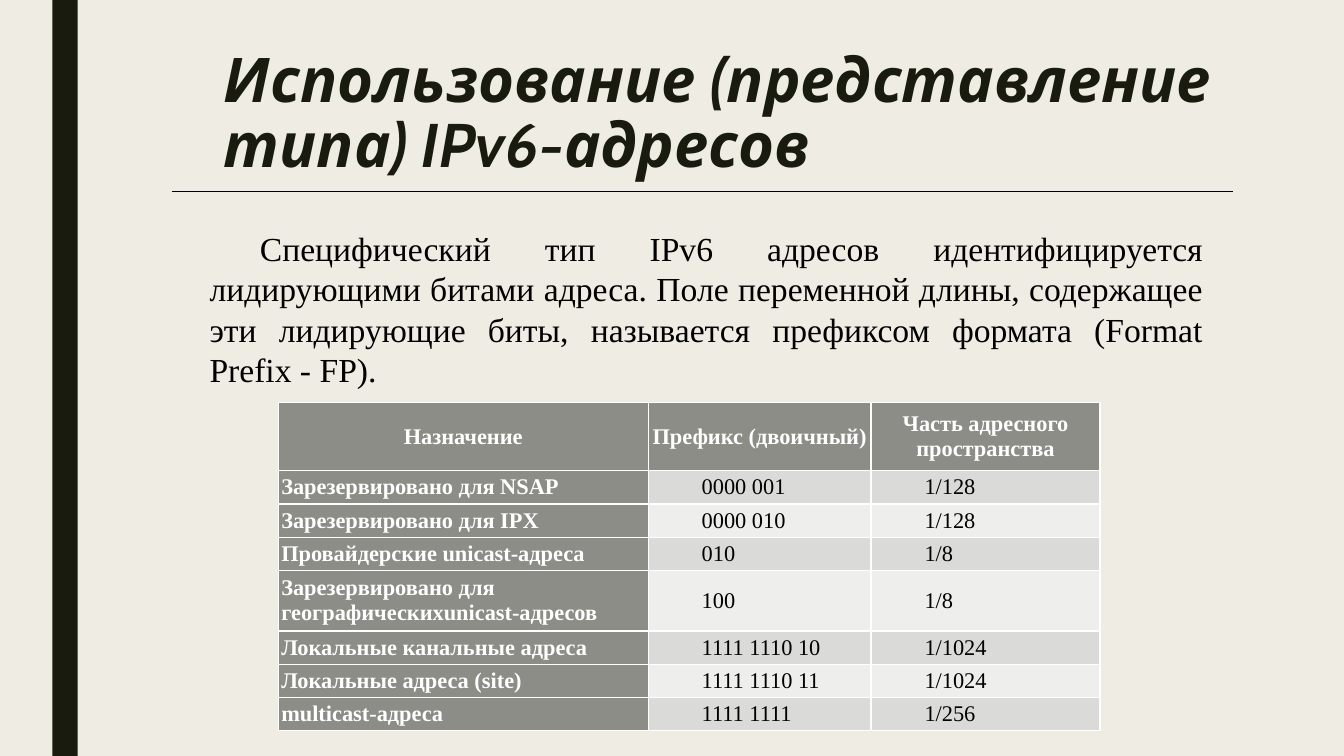
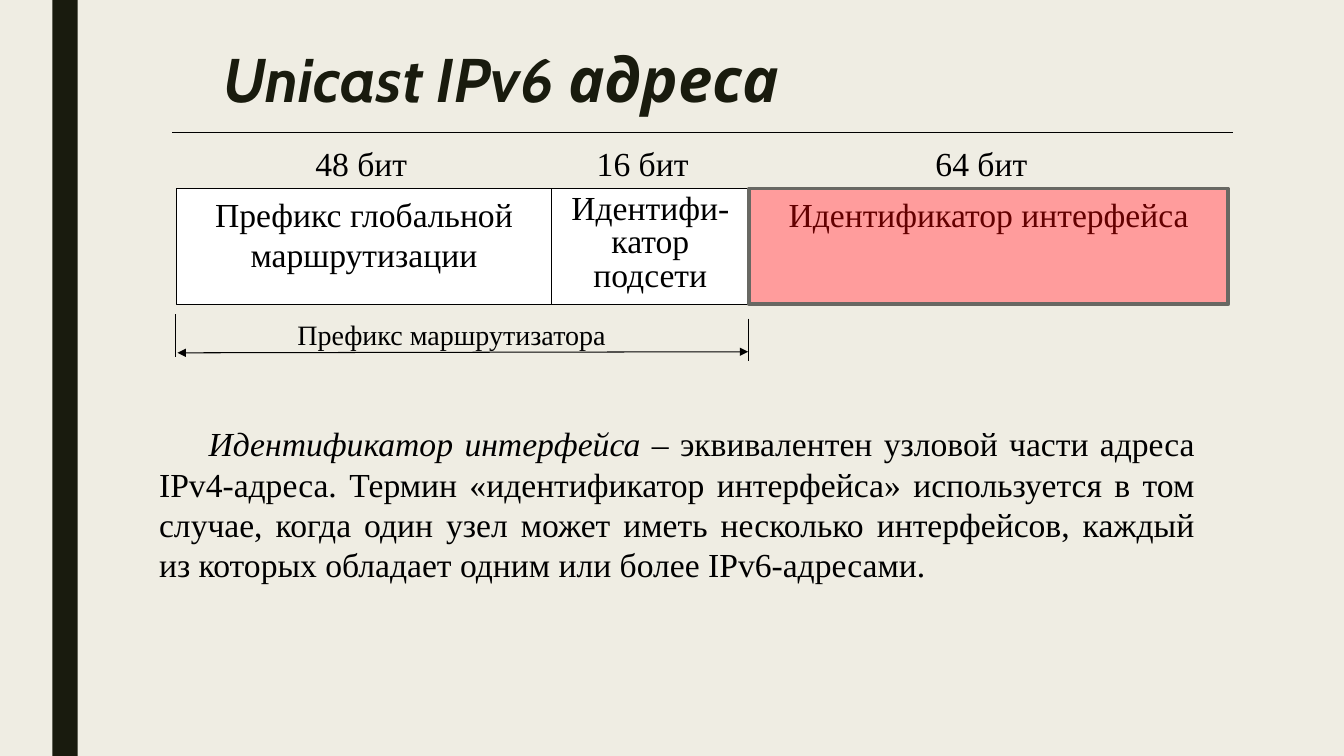
from lxml import etree
from pptx import Presentation, util as u
from pptx.dml.color import RGBColor
from pptx.enum import shapes, text
from pptx.oxml import ns

HUES = {"page": "EFEDE3", "dark": "191B0E", "ink": "000000", "white": "FFFFFF",
        "head": "8C8D86", "odd": "DADBD9", "even": "EEEEED",
        "red": "FF0000", "edge": "686863"}
SERIF, SANS = "Times New Roman", "Cabin"
MID = text.PP_ALIGN.CENTER
FULL = text.PP_ALIGN.JUSTIFY

TYPES = {
    "title": "Использование (представление типа) IPv6-адресов",
    "rule": 1.9,
    "body": "Специфический тип IPv6 адресов идентифицируется лидирующими битами адреса. "
            "Поле переменной длины, содержащее эти лидирующие биты, называется "
            "префиксом формата (Format Prefix - FP).",
    "cols": [3.67, 2.21, 2.27],
    "rows": [
        ("Назначение", "Префикс (двоичный)", "Часть адресного пространства"),
        ("Зарезервировано для NSAP", "0000 001", "1/128"),
        ("Зарезервировано для IPX", "0000 010", "1/128"),
        ("Провайдерские unicast-адреса", "010", "1/8"),
        ("Зарезервировано для географическихunicast-адресов", "100", "1/8"),
        ("Локальные канальные адреса", "1111 1110 10", "1/1024"),
        ("Локальные адреса (site)", "1111 1110 11", "1/1024"),
        ("multicast-адреса", "1111 1111", "1/256"),
    ],
    "tall": {0: 0.68, 4: 0.6},
}
UNICAST = {
    "title": "Unicast IPv6 адреса",
    "rule": 1.31,
    "term": "Идентификатор интерфейса – ",
    "body": "эквивалентен узловой части адреса IPv4-адреса. Термин «идентификатор "
            "интерфейса» используется в том случае, когда один узел может иметь "
            "несколько интерфейсов, каждый из которых обладает одним или более "
            "IPv6-адресами.",
    "parts": [
        ("48 бит", 3.03, "Префикс глобальной маршрутизации", 3.72, None),
        ("16 бит", 5.82, "Идентифи-катор подсети", 1.96, u.Pt(24)),
        ("64 бит", 9.18, "Идентификатор интерфейса", 4.75, None),
    ],
    "span": "Префикс маршрутизатора",
}


def rgb(hue):
    return RGBColor.from_string(HUES[hue])


def inch(*nums):
    return [u.Inches(n) for n in nums]


def put(frame, *runs, size=24, font=SERIF, hue="ink", bold=False, slant=False,
        align=None, indent=0, space=None, anchor=text.MSO_ANCHOR.TOP):
    frame.word_wrap = True
    frame.vertical_anchor = anchor
    para = frame.paragraphs[0]
    para.alignment = align
    para.line_spacing = space
    if indent:
        para._p.get_or_add_pPr().set("indent", str(u.Inches(indent)))
    for item in runs:
        words, lean = item if isinstance(item, tuple) else (item, slant)
        run = para.add_run()
        run.text = words
        face = run.font
        face.name, face.size = font, u.Pt(size)
        face.bold, face.italic = bold, lean
        face.color.rgb = rgb(hue)


def label(slide, box, *runs, **form):
    put(slide.shapes.add_textbox(*inch(*box)).text_frame, *runs, **form)


def rect(slide, box, fill, edge=None, width=0.75):
    shape = slide.shapes.add_shape(shapes.MSO_SHAPE.RECTANGLE, *inch(*box))
    shape.shadow.inherit = False
    shape.fill.solid()
    shape.fill.fore_color.rgb = rgb(fill)
    if edge:
        shape.line.color.rgb = rgb(edge)
        shape.line.width = u.Pt(width)
    else:
        shape.line.fill.background()
    return shape


def line(slide, ends, arrows=False):
    link = slide.shapes.add_connector(shapes.MSO_CONNECTOR.STRAIGHT, *inch(*ends))
    link.line.color.rgb = rgb("ink")
    link.line.width = u.Pt(0.75)
    if arrows:
        for tag in ("a:headEnd", "a:tailEnd"):
            etree.SubElement(link.line._get_or_add_ln(), ns.qn(tag), type="triangle")
    etree.SubElement(link._element.spPr, ns.qn("a:effectLst"))


def start(deck, data):
    slide = deck.slides.add_slide(deck.slide_layouts[5])
    rect(slide, (0.52, 0, 0.25, 7.5), "dark")
    title = slide.shapes.title
    title.left, title.top, title.width, title.height = inch(2.12, 0.44, 10.1, 0.79)
    put(title.text_frame, data["title"], size=44, font=SANS, hue="dark",
        bold=True, slant=True, align=text.PP_ALIGN.LEFT, space=0.89)
    title.text_frame.auto_size = text.MSO_AUTO_SIZE.NONE
    line(slide, (1.71, data["rule"], 12.23, data["rule"]))
    return slide


def grid(slide, data):
    rows, cols = data["rows"], data["cols"]
    highs = [data["tall"].get(n, 0.33) for n in range(len(rows))]
    table = slide.shapes.add_table(
        len(rows), len(cols), *inch(2.76, 3.99, sum(cols), sum(highs))).table
    for col, wide in zip(table.columns, cols):
        col.width = u.Inches(wide)
    for r, (row, high) in enumerate(zip(rows, highs)):
        table.rows[r].height = u.Inches(high)
        for c, words in enumerate(row):
            cell = table.cell(r, c)
            head = r == 0 or c == 0
            cell.margin_left = cell.margin_right = u.Inches(0.03)
            cell.margin_top = cell.margin_bottom = u.Inches(0.03)
            cell.vertical_anchor = text.MSO_ANCHOR.MIDDLE
            cell.fill.solid()
            cell.fill.fore_color.rgb = rgb("head" if head else "odd" if r % 2 else "even")
            put(cell.text_frame, words, size=16, bold=head,
                hue="white" if head else "ink",
                align=MID if r == 0 else None, indent=0 if head else 0.5)


def types(deck):
    slide = start(deck, TYPES)
    label(slide, (1.98, 2.2, 10.05, 1.72), TYPES["body"], align=FULL,
          indent=0.5, anchor=text.MSO_ANCHOR.MIDDLE)
    grid(slide, TYPES)


def unicast(deck):
    slide = start(deck, UNICAST)
    label(slide, (1.48, 4.15, 10.47, 2.05), (UNICAST["term"], True),
          UNICAST["body"], align=FULL, indent=0.49)
    left, top, high = 1.75, 1.87, 1.15
    for bits, place, words, wide, space in UNICAST["parts"]:
        box = (left, top, wide, high)
        put(rect(slide, box, "white", "ink").text_frame, words, align=MID, space=space)
        label(slide, (place, 1.37, 1.27, 0.49), bits)
        left += wide
    glass = rect(slide, box, "red", "edge", 2.75)
    tint = glass._element.spPr.find(".//" + ns.qn("a:srgbClr"))
    etree.SubElement(tint, ns.qn("a:alpha"), val="39000")
    for x, y in ((1.74, 3.12), (7.42, 3.16)):
        line(slide, (x, y, x, y + 0.42))
    line(slide, (1.76, 3.5, 7.42, 3.49), arrows=True)
    label(slide, (2.85, 3.1, 4.82, 0.49), UNICAST["span"], size=20)


def main():
    deck = Presentation()
    deck.slide_width, deck.slide_height = inch(13.33, 7.5)
    back = deck.slide_master.background.fill
    back.solid()
    back.fore_color.rgb = rgb("page")
    types(deck)
    unicast(deck)
    deck.save("out.pptx")


if __name__ == "__main__":
    main()
